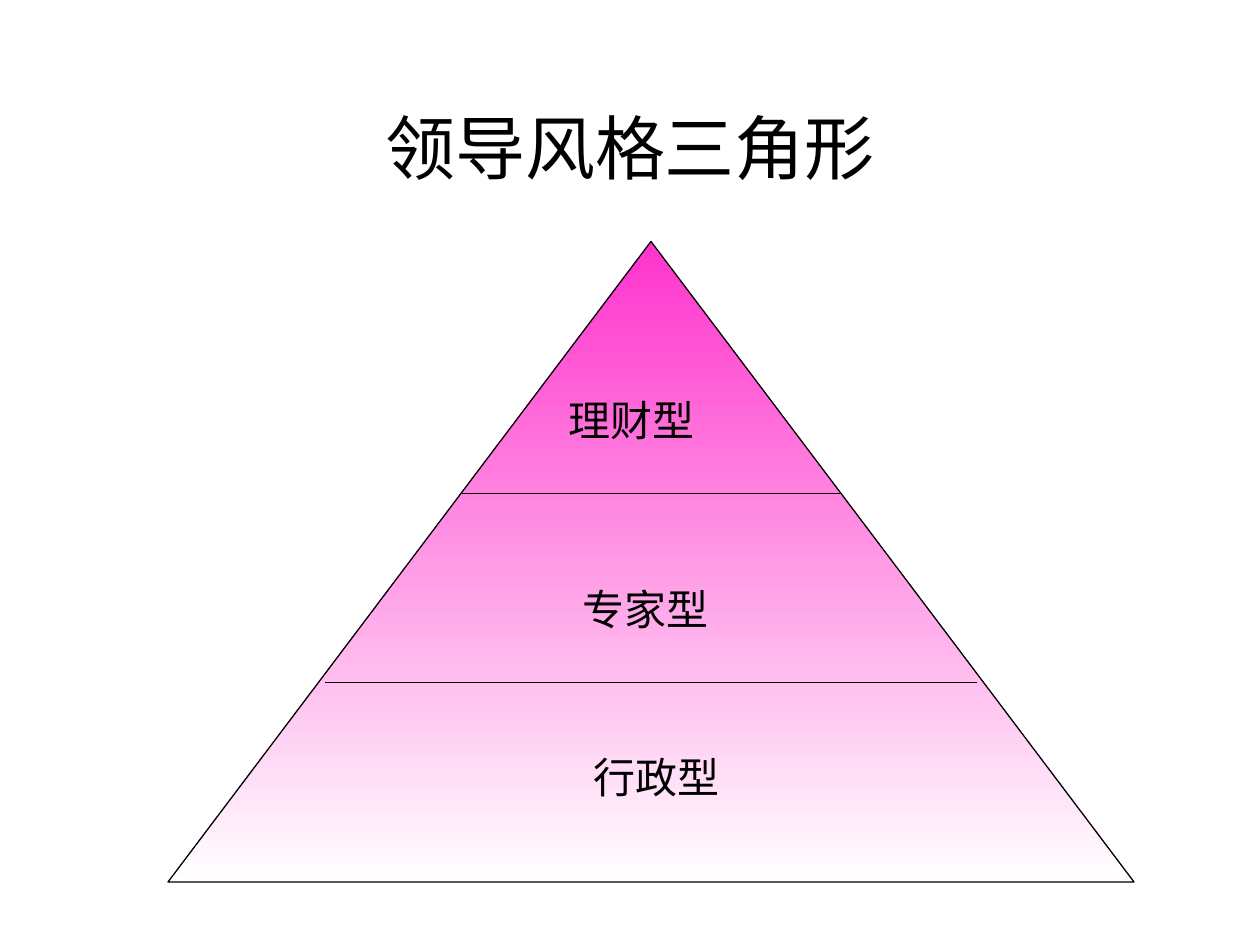
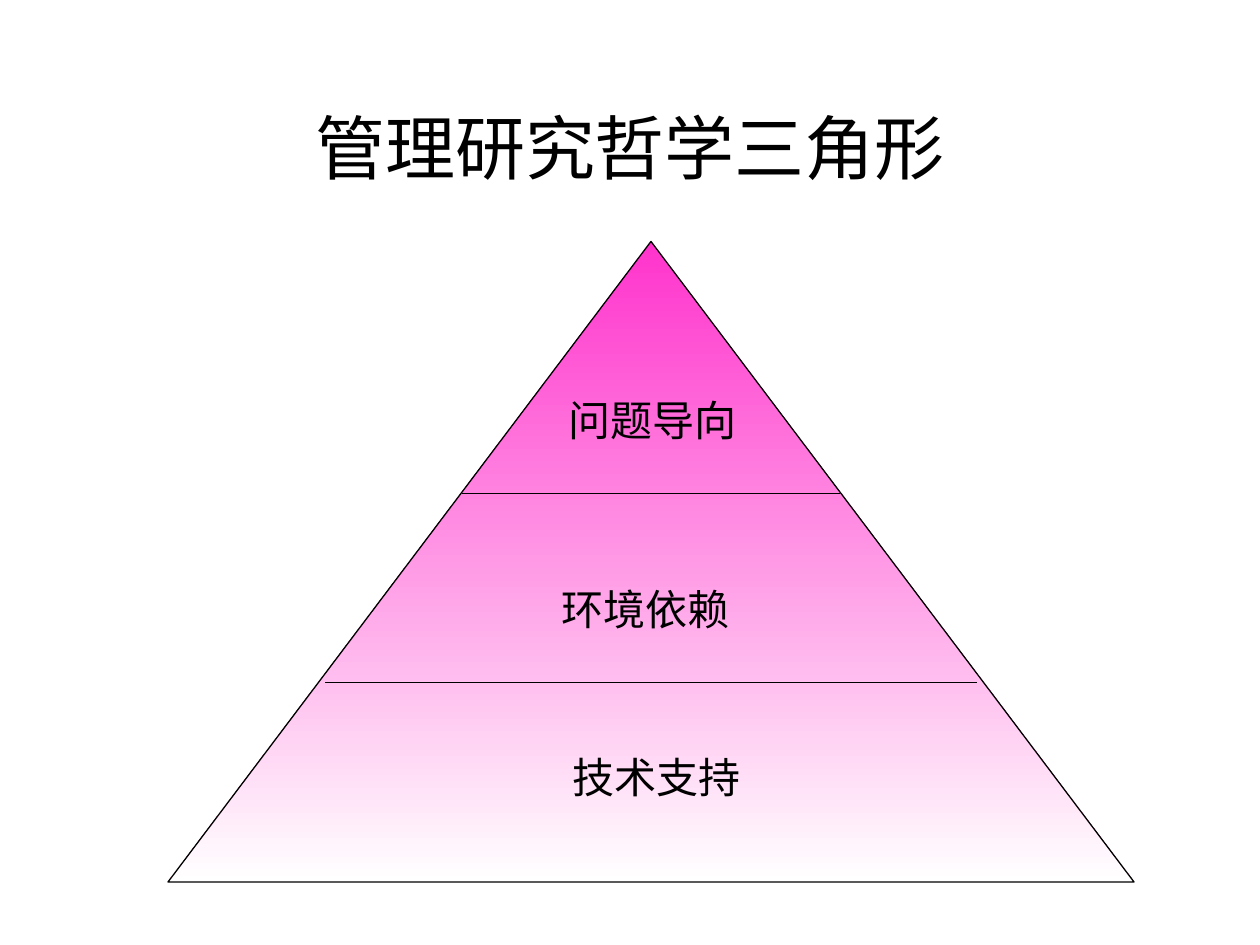
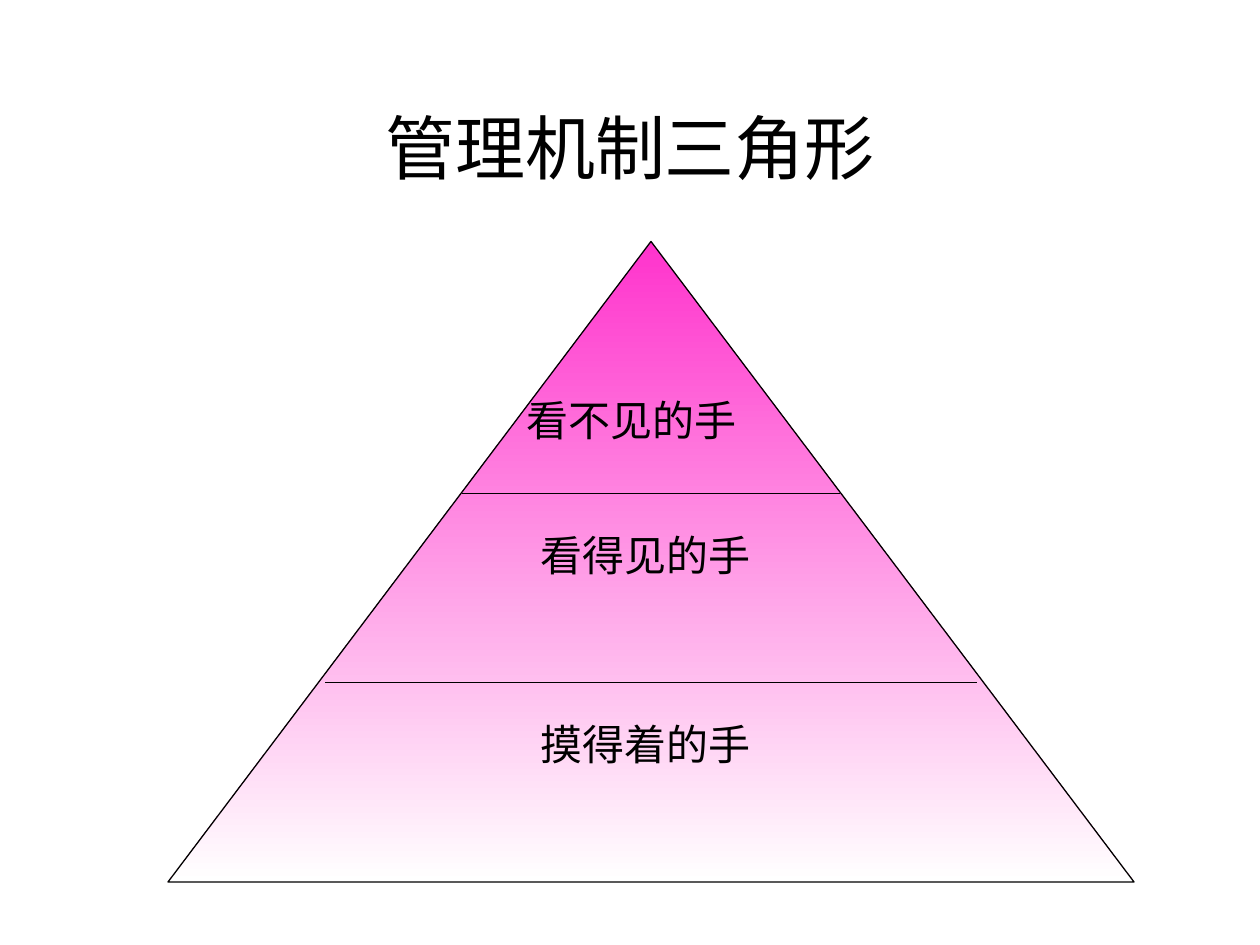
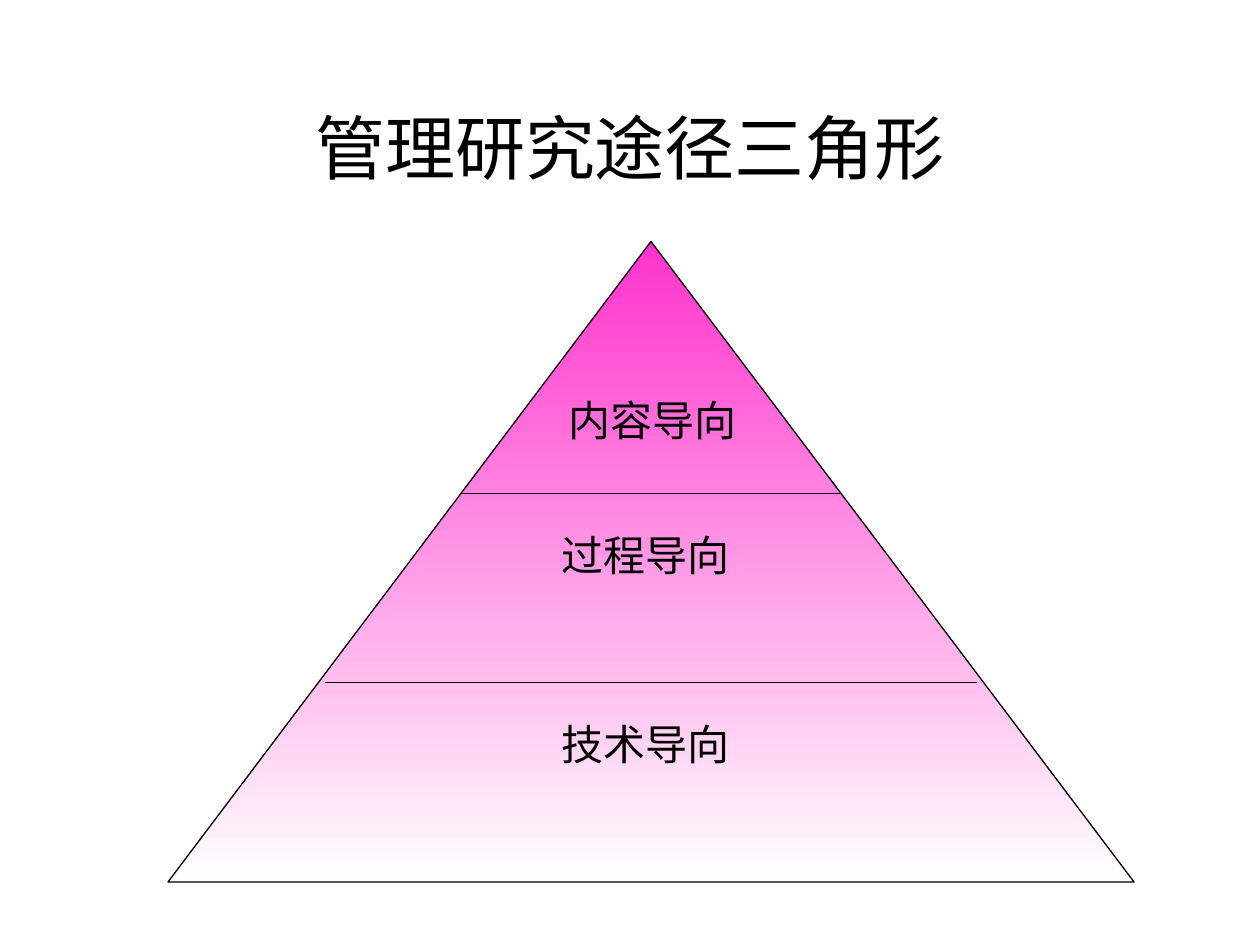
from lxml import etree
from pptx import Presentation
from pptx import util as u
from pptx.dml.color import RGBColor
from pptx.enum import shapes, text
from pptx.oxml.ns import qn

hues = {"ink": "000000", "pink": "FF33CC", "white": "FFFFFF"}
fonts = {"title": "Noto Sans CJK SC", "label": "Times New Roman"}
mid, left = text.PP_ALIGN.CENTER, text.PP_ALIGN.LEFT

deck = Presentation()
deck.slide_width, deck.slide_height = u.Inches(10), u.Inches(7.5)
cell = deck.slide_width / 120


def grid(*units):
    return [round(n * cell) for n in units]


def style(para, font, size, align):
    para.font.name = font
    para.font.size = u.Pt(size)
    para.font.color.rgb = RGBColor.from_string(hues["ink"])
    para.alignment = align


rules = [(31, 93, 65), (44, 80, 47)]
low = [(35, 55, 53), (25, 71, 75)]
high = [(35, 49.8, 53), (24, 67.8, 75)]
short, long = (53, 37, 19), (49, 37, 23)

pages = [
    ("领导风格三角形", ["理财型", "专家型", "行政型"], [short, *low]),
    ("管理研究哲学三角形", ["问题导向", "环境依赖", "技术支持"], [short, *low]),
    ("管理机制三角形", ["看不见的手", "看得见的手", "摸得着的手"], [long, *high]),
    ("管理研究途径三角形", ["内容导向", "过程导向", "技术导向"], [short, *high]),
]

for head, labels, spots in pages:
    slide = deck.slides.add_slide(deck.slide_layouts[5])
    title = slide.shapes.title
    title.left, title.top, title.width, title.height = grid(6, 5, 108, 18)
    frame = title.text_frame
    frame.text = head
    frame.auto_size = text.MSO_AUTO_SIZE.NONE
    frame.vertical_anchor = text.MSO_ANCHOR.MIDDLE
    para = frame.paragraphs[0]
    style(para, fonts["title"], 40, mid)
    props = para._p.get_or_add_pPr()
    hang = grid(11)[0]
    props.set("marL", str(hang))
    props.set("indent", str(-hang))

    peak = slide.shapes.add_shape(
        shapes.MSO_SHAPE.ISOSCELES_TRIANGLE, *grid(16, 23, 92, 61))
    peak.shadow.inherit = False
    peak.fill.gradient()
    peak.fill.gradient_angle = 270
    for stop, hue, place in zip(peak.fill.gradient_stops, ("pink", "white"), (0, 1)):
        stop.color.rgb = RGBColor.from_string(hues[hue])
        stop.position = place
    peak.line.color.rgb = RGBColor.from_string(hues["ink"])
    peak.line.width = u.Pt(0.74)

    for start, end, row in rules:
        rule = slide.shapes.add_connector(
            shapes.MSO_CONNECTOR.STRAIGHT, *grid(start, row, end, row))
        rule.line.color.rgb = RGBColor.from_string(hues["ink"])
        rule.line.width = u.Pt(0.74)
        etree.SubElement(rule._element.spPr, qn("a:effectLst"))

    for label, (col, row, wide), align in zip(labels, spots, (left, mid, mid)):
        box = slide.shapes.add_textbox(*grid(col, row, wide, 6))
        frame = box.text_frame
        frame.text = label
        frame.word_wrap = True
        frame.auto_size = text.MSO_AUTO_SIZE.SHAPE_TO_FIT_TEXT
        para = frame.paragraphs[0]
        style(para, fonts["label"], 24, align)
        para.space_before = u.Pt(15)

deck.save("out.pptx")
